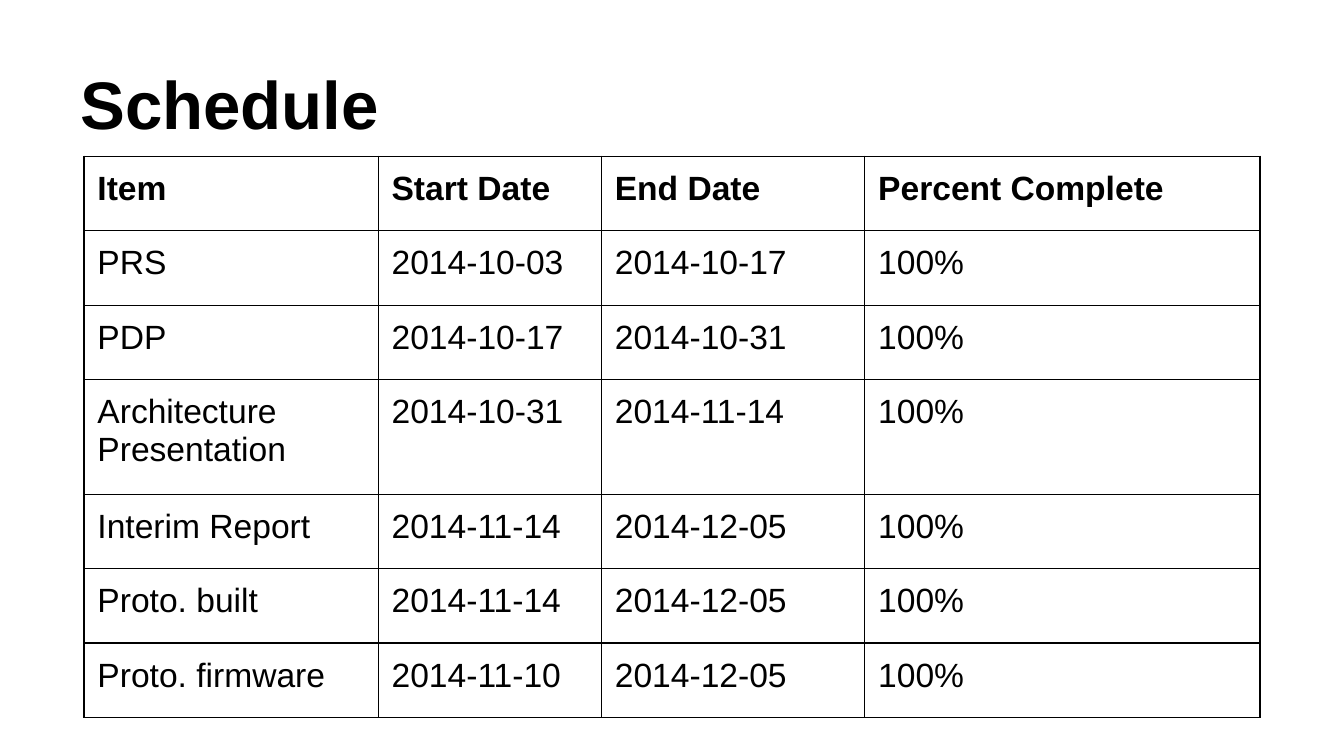
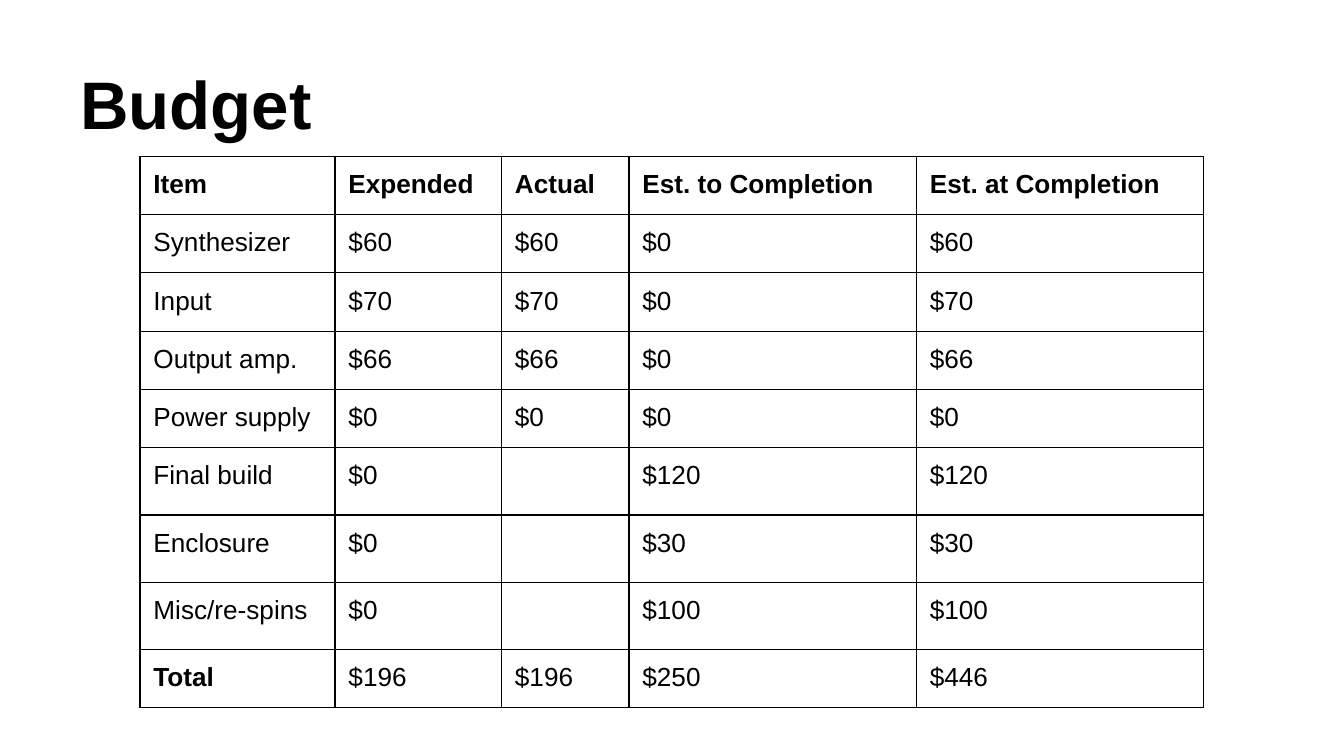
import pptx
import pptx.dml.color
import pptx.enum.text
import pptx.oxml.ns
import pptx.util
from lxml import etree

Pt = pptx.util.Pt
qn = pptx.oxml.ns.qn

BLACK = pptx.dml.color.RGBColor(0x00, 0x00, 0x00)
WHITE = pptx.dml.color.RGBColor(0xFF, 0xFF, 0xFF)
FONT = "Arial"
INSET = Pt(7.2)
BORDER = Pt(0.75)
EMPTY_CELL_SIZE = 18
TABLE_TOP = 83.7
INSETS = {
    "margin_left": INSET,
    "margin_right": INSET,
    "margin_top": INSET,
    "margin_bottom": INSET,
}

SCHEDULE = {
    "title": "Schedule",
    "left": 45,
    "size": 18,
    "widths": [157.6, 119.6, 141.1, 211.7],
    "heights": [39.9] * 3 + [61.4] + [39.9] * 3,
    "rows": [
        ["Item", "Start Date", "End Date", "Percent Complete"],
        ["PRS", "2014-10-03", "2014-10-17", "100%"],
        ["PDP", "2014-10-17", "2014-10-31", "100%"],
        ["Architecture Presentation", "2014-10-31", "2014-11-14", "100%"],
        ["Interim Report", "2014-11-14", "2014-12-05", "100%"],
        ["Proto. built", "2014-11-14", "2014-12-05", "100%"],
        ["Proto. firmware", "2014-11-10", "2014-12-05", "100%"],
    ],
}

BUDGET = {
    "title": "Budget",
    "left": 75,
    "size": 14,
    "widths": [104.5, 89.2, 68.3, 154, 154],
    "heights": [30.1] * 9,
    "rows": [
        ["Item", "Expended", "Actual", "Est. to Completion", "Est. at Completion"],
        ["Synthesizer", "$60", "$60", "$0", "$60"],
        ["Input", "$70", "$70", "$0", "$70"],
        ["Output amp.", "$66", "$66", "$0", "$66"],
        ["Power supply", "$0", "$0", "$0", "$0"],
        ["Final build", "$0", "", "$120", "$120"],
        ["Enclosure", "$0", "", "$30", "$30"],
        ["Misc/re-spins", "$0", "", "$100", "$100"],
        ["Total", "$196", "$196", "$250", "$446"],
    ],
}


def apply_format(target, values):
    """Set every named attribute of the target."""
    for name, value in values.items():
        setattr(target, name, value)


def write_text(paragraph, text, size, bold):
    """Add one run in the deck's font and text colour."""
    run = paragraph.add_run()
    run.text = text
    apply_format(run.font, {"name": FONT, "size": Pt(size), "bold": bold})
    run.font.color.rgb = BLACK


def size_empty_paragraph(paragraph, size):
    """Give a paragraph without runs its font and size."""
    end = etree.SubElement(paragraph._p, qn("a:endParaRPr"), sz=str(size * 100))
    etree.SubElement(end, qn("a:latin"), typeface=FONT)


def draw_borders(cell):
    """Draw a thin solid line on all four sides of a cell."""
    properties = cell._tc.get_or_add_tcPr()
    for position, side in enumerate(("a:lnL", "a:lnR", "a:lnT", "a:lnB")):
        line = etree.Element(qn(side), w=str(int(BORDER)))
        fill = etree.SubElement(line, qn("a:solidFill"))
        etree.SubElement(fill, qn("a:srgbClr"), val=str(BLACK))
        etree.SubElement(line, qn("a:prstDash"), val="solid")
        properties.insert(position, line)


def add_title(slide, title):
    """Add the slide title, resting on the bottom of its box."""
    heading = slide.shapes.add_textbox(Pt(36), Pt(16.5), Pt(648), Pt(67.5))
    frame = heading.text_frame
    apply_format(frame, {
        **INSETS,
        "word_wrap": True,
        "vertical_anchor": pptx.enum.text.MSO_ANCHOR.BOTTOM,
    })
    write_text(frame.paragraphs[0], title, 36, True)


def add_grid(slide, content):
    """Add a bordered table with bold headings and a bold total label."""
    rows, widths, heights = content["rows"], content["widths"], content["heights"]
    grid = slide.shapes.add_table(
        len(rows), len(widths), Pt(content["left"]), Pt(TABLE_TOP),
        Pt(sum(widths)), Pt(sum(heights)),
    ).table
    apply_format(grid, {"first_row": False, "horz_banding": False})
    for column, width in zip(grid.columns, widths):
        column.width = Pt(width)
    for row, height, texts in zip(grid.rows, heights, rows):
        row.height = Pt(height)
        for cell, text in zip(row.cells, texts):
            apply_format(cell, INSETS)
            cell.fill.background()
            draw_borders(cell)
            paragraph = cell.text_frame.paragraphs[0]
            if text:
                bold = texts is rows[0] or text == "Total"
                write_text(paragraph, text, content["size"], bold)
            else:
                size_empty_paragraph(paragraph, EMPTY_CELL_SIZE)


def add_table_slide(deck, content):
    """Add a white slide with a title and a table."""
    slide = deck.slides.add_slide(deck.slide_layouts[6])
    slide.background.fill.solid()
    slide.background.fill.fore_color.rgb = WHITE
    add_title(slide, content["title"])
    add_grid(slide, content)


def main():
    """Build and save the deck."""
    deck = pptx.Presentation()
    apply_format(deck, {"slide_width": Pt(720), "slide_height": Pt(405)})
    for content in (SCHEDULE, BUDGET):
        add_table_slide(deck, content)
    deck.save("out.pptx")


if __name__ == "__main__":
    main()
